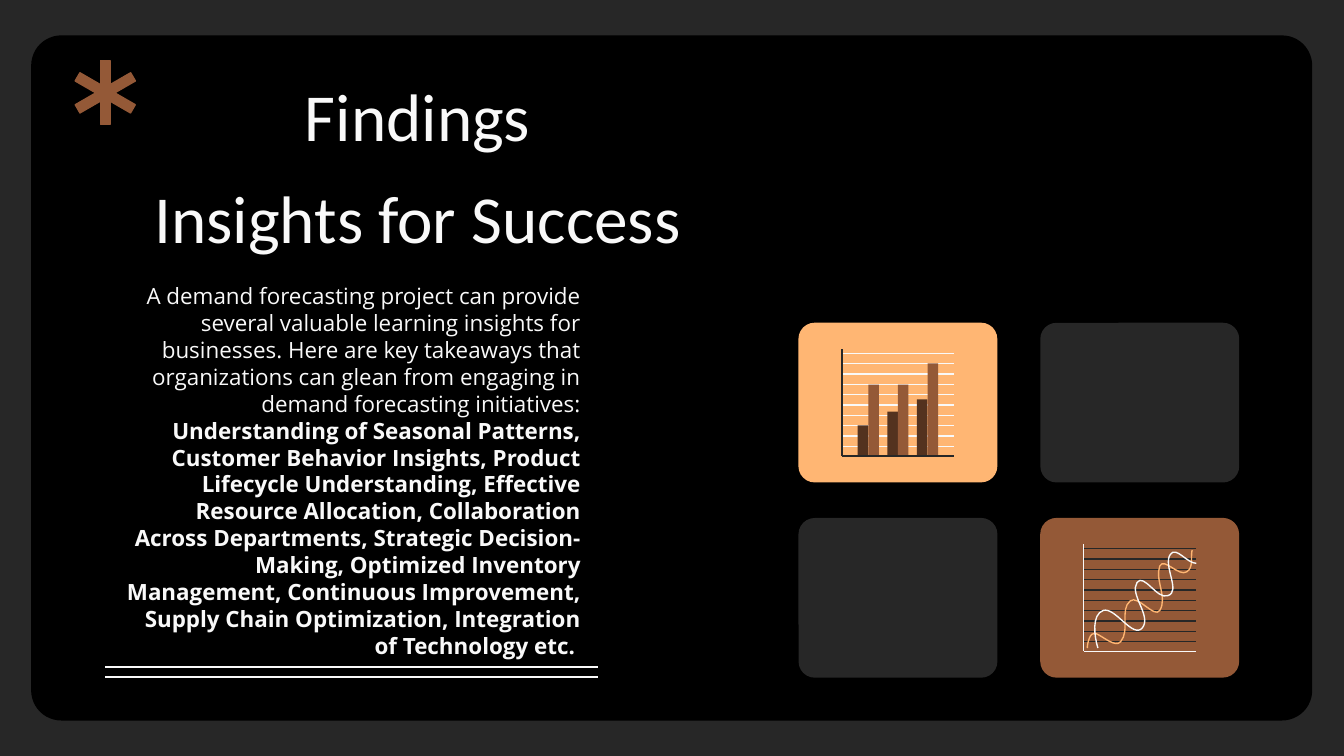
from dataclasses import dataclass

from lxml.etree import SubElement
from pptx import Presentation
from pptx.dml.color import RGBColor
from pptx.enum.shapes import MSO_CONNECTOR, MSO_SHAPE
from pptx.enum.text import MSO_ANCHOR, PP_ALIGN
from pptx.oxml.ns import qn
from pptx.util import Cm, Pt


@dataclass(frozen=True)
class Theme:
    backdrop: str = "272727"
    panel: str = "000000"
    light: str = "F9F9F9"
    peach: str = "FFB673"
    brown: str = "945937"
    dark_brown: str = "53321F"
    title_font: str = "Calibri"
    body_font: str = "Open Sans"
    title_size: float = 36
    title_spacing: float = 54.7
    body_size: float = 12
    stroke: float = 0.75


CARD_LEFT, CARD_TOP = 15.09, 6.1
CARD_WIDTH, CARD_HEIGHT = 3.76, 3.02
CARD_STEP_X, CARD_STEP_Y = 4.57, 3.69

# Plot area, measured from the corner of its card
PLOT_LEFT, PLOT_RIGHT, PLOT_TOP, PLOT_BASE = 0.82, 2.94, 0.5, 2.52
GRID_TOP, GRID_BOTTOM, GRID_COUNT = 0.58, 2.34, 10
BAR_LEFT, BAR_WIDTH, BAR_STEP = 1.12, 0.2, 0.56
BAR_PAIRS = [(0.58, 1.35), (0.84, 1.35), (1.07, 1.75)]

# Each wave: a start point, then two handles and an end point per curve
PEACH_WAVE = [
    (0.89, 2.46),
    (0.89, 2.36), (0.94, 2.16), (1.04, 2.18),
    (1.19, 2.24), (1.42, 2.46), (1.52, 2.34),
    (1.7, 2.13), (1.5, 1.73), (1.7, 1.57),
    (1.85, 1.45), (2.16, 1.91), (2.26, 1.75),
    (2.41, 1.5), (2.16, 1.17), (2.26, 0.91),
    (2.34, 0.74), (2.62, 1.12), (2.77, 1.02),
    (2.9, 0.94), (2.84, 0.74), (2.87, 0.61),
]
LIGHT_WAVE = [
    (2.95, 0.86),
    (2.77, 0.86), (2.57, 0.53), (2.46, 0.69),
    (2.31, 0.89), (2.67, 1.4), (2.41, 1.47),
    (2.21, 1.55), (1.96, 1.04), (1.83, 1.22),
    (1.68, 1.45), (2.11, 1.85), (1.93, 2.08),
    (1.75, 2.29), (1.42, 1.68), (1.19, 1.75),
    (0.97, 1.83), (1.02, 2.24), (1.09, 2.46),
]

INTRO = (
    "A demand forecasting project can provide several valuable learning "
    "insights for businesses. Here are key takeaways that organizations can "
    "glean from engaging in demand forecasting initiatives: "
)
TAKEAWAYS = (
    "Understanding of Seasonal Patterns, Customer Behavior Insights, Product "
    "Lifecycle Understanding, Effective Resource Allocation, Collaboration "
    "Across Departments, Strategic Decision-Making, Optimized Inventory "
    "Management, Continuous Improvement, Supply Chain Optimization, "
    "Integration of Technology etc. "
)


def color(code):
    return RGBColor.from_string(code)


def add_text(para, text, *, font, size, fill, bold=False):
    span = para.add_run()
    span.text = text
    span.font.name = font
    span.font.size = Pt(size)
    span.font.bold = bold
    span.font.color.rgb = color(fill)


def bend_segments(shape):
    """Turn every three straight segments of a freeform into one cubic curve."""
    outline = next(shape._element.iter(qn("a:path")))
    segments = outline.findall(qn("a:lnTo"))
    for first in range(0, len(segments), 3):
        curve = SubElement(outline, qn("a:cubicBezTo"))
        for segment in segments[first:first + 3]:
            curve.append(segment[0])
            outline.remove(segment)


class Painter:
    def __init__(self, page, theme):
        self.page = page
        self.theme = theme

    def block(self, left, top, width, height, fill, radius=None, outlined=False, turn=0):
        """Add a rectangle, rounded when a radius is given."""
        kind = MSO_SHAPE.RECTANGLE if radius is None else MSO_SHAPE.ROUNDED_RECTANGLE
        shape = self.page.shapes.add_shape(kind, Cm(left), Cm(top), Cm(width), Cm(height))
        shape.shadow.inherit = False
        shape.rotation = turn
        shape.fill.solid()
        shape.fill.fore_color.rgb = color(fill)
        if radius is not None:
            shape.adjustments[0] = radius
        if outlined:
            shape.line.color.rgb = color(fill)
            shape.line.width = Pt(self.theme.stroke)
        else:
            shape.line.fill.background()

    def line(self, x1, y1, x2, y2, stroke):
        connector = self.page.shapes.add_connector(
            MSO_CONNECTOR.STRAIGHT, Cm(x1), Cm(y1), Cm(x2), Cm(y2))
        connector.line.color.rgb = color(stroke)
        connector.line.width = Pt(self.theme.stroke)
        SubElement(connector._element.spPr, qn("a:effectLst"))

    def wave(self, left, top, wave, stroke):
        points = [(Cm(left + x), Cm(top + y)) for x, y in wave]
        builder = self.page.shapes.build_freeform(*points[0])
        builder.add_line_segments(points[1:], close=False)
        shape = builder.convert_to_shape()
        bend_segments(shape)
        shape.shadow.inherit = False
        shape.fill.background()
        shape.line.color.rgb = color(stroke)
        shape.line.width = Pt(self.theme.stroke)

    def text_box(self, left, top, width, height, align, anchor=MSO_ANCHOR.TOP):
        """Add an empty text box and return its first paragraph."""
        box = self.page.shapes.add_textbox(Cm(left), Cm(top), Cm(width), Cm(height))
        frame = box.text_frame
        frame.word_wrap = True
        frame.vertical_anchor = anchor
        frame.margin_left = frame.margin_right = Cm(0.25)
        frame.margin_top = frame.margin_bottom = Cm(0.25)
        para = frame.paragraphs[0]
        para.alignment = align
        return para

    def card(self, column, row, fill, turn=0):
        """Add one card of the grid and return its corner."""
        left, top = CARD_LEFT + column * CARD_STEP_X, CARD_TOP + row * CARD_STEP_Y
        self.block(left, top, CARD_WIDTH, CARD_HEIGHT, fill, radius=0.102, turn=turn)
        return left, top

    def grid(self, left, top, stroke):
        step = (GRID_BOTTOM - GRID_TOP) / (GRID_COUNT - 1)
        for index in range(GRID_COUNT):
            y = top + GRID_BOTTOM - index * step
            self.line(left + PLOT_LEFT, y, left + PLOT_RIGHT, y, stroke)

    def axes(self, left, top, stroke):
        x, base = left + PLOT_LEFT, top + PLOT_BASE
        self.line(x, base, left + PLOT_RIGHT, base, stroke)
        self.line(x, top + PLOT_TOP, x, base, stroke)

    def bars(self, left, top):
        for group, pair in enumerate(BAR_PAIRS):
            for member, height in enumerate(pair):
                fill = (self.theme.dark_brown, self.theme.brown)[member]
                x = left + BAR_LEFT + group * BAR_STEP + member * BAR_WIDTH
                self.block(x, top + PLOT_BASE - height, BAR_WIDTH, height, fill)


def main():
    theme = Theme()
    deck = Presentation()
    deck.slide_width, deck.slide_height = Cm(25.4), Cm(14.29)
    page = deck.slides.add_slide(deck.slide_layouts[6])
    page.background.fill.solid()
    page.background.fill.fore_color.rgb = color(theme.backdrop)
    painter = Painter(page, theme)
    painter.block(0.59, 0.67, 24.21, 12.95, theme.panel, radius=0.044)

    title = painter.text_box(1.71, 1.76, 12.37, 3.35, PP_ALIGN.CENTER, MSO_ANCHOR.BOTTOM)
    title.line_spacing = Pt(theme.title_spacing)
    title_format = dict(font=theme.title_font, size=theme.title_size, fill=theme.light)
    add_text(title, "Findings", **title_format)
    title.add_line_break()
    add_text(title, "Insights for Success", **title_format)

    body = painter.text_box(1.98, 5.09, 9.25, 2.64, PP_ALIGN.RIGHT)
    for text, bold in ((INTRO, False), (TAKEAWAYS, True)):
        add_text(body, text, font=theme.body_font, size=theme.body_size,
                 fill=theme.light, bold=bold)

    painter.card(0, 1, theme.backdrop, turn=180)
    painter.card(1, 0, theme.backdrop, turn=180)
    bar_card = painter.card(0, 0, theme.peach)
    painter.grid(*bar_card, theme.light)
    painter.bars(*bar_card)
    painter.axes(*bar_card, theme.backdrop)
    wave_card = painter.card(1, 1, theme.brown)
    painter.grid(*wave_card, theme.backdrop)
    painter.axes(*wave_card, theme.light)
    painter.wave(*wave_card, PEACH_WAVE, theme.peach)
    painter.wave(*wave_card, LIGHT_WAVE, theme.light)

    for turn in (0, 300, 60):
        painter.block(1.9, 1.15, 0.18, 1.21, theme.brown, outlined=True, turn=turn)
    for y in (12.61, 12.8):
        painter.line(11.3, y, 1.98, y, theme.light)
    deck.save("out.pptx")


if __name__ == "__main__":
    main()
